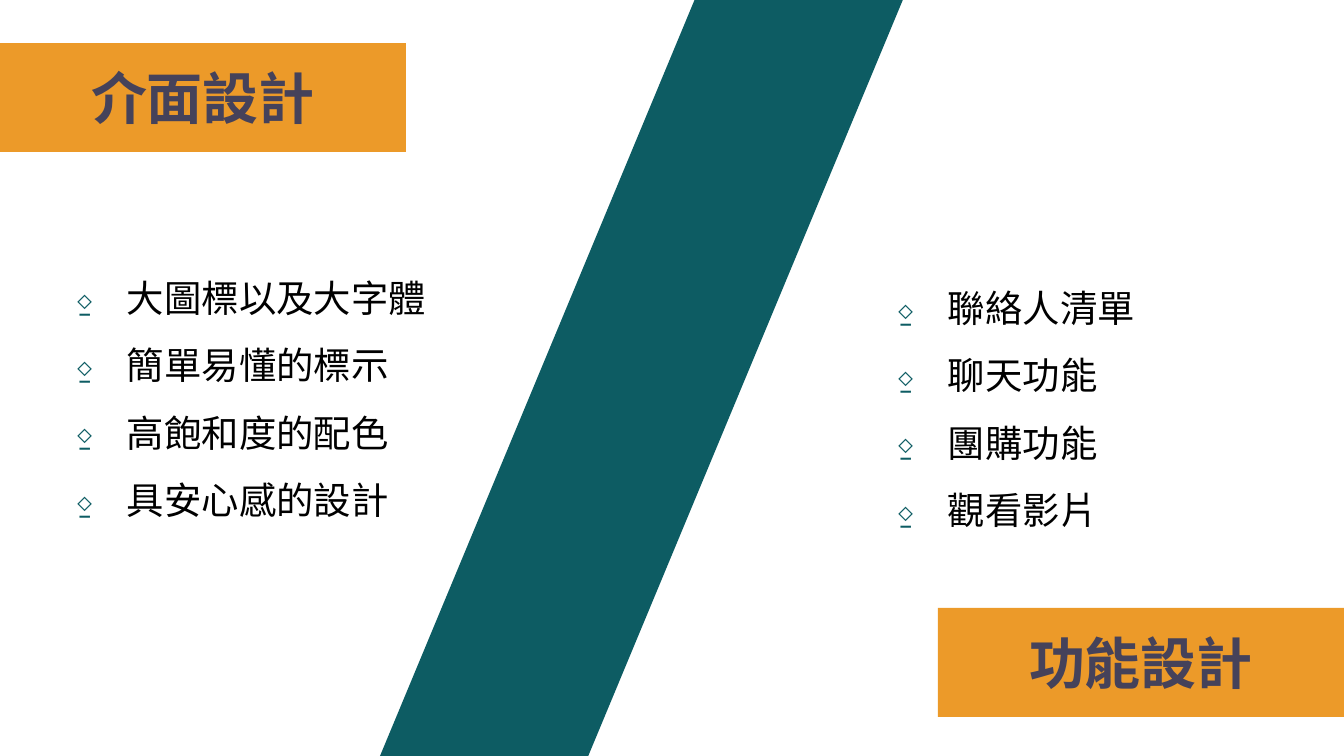
"""Build a slide with two design topics on either side of a slanted band."""
import lxml.etree
import pptx
import pptx.dml.color
import pptx.enum.lang
import pptx.enum.shapes
import pptx.enum.text
import pptx.oxml.ns
import pptx.util

SLIDE = (1344, 756)
BAND = {"box": (509, -73, 257, 921), "rotation": 18.6, "slant": 0.25}
TOPICS = [
    {
        "heading": "介面設計",
        "banner": (0, 43, 406, 109),
        "list": (47, 240, 441, 276),
        "items": ["大圖標以及大字體", "簡單易懂的標示", "高飽和度的配色", "具安心感的設計"],
    },
    {
        "heading": "功能設計",
        "banner": (938, 608, 406, 109),
        "list": (868, 250, 441, 276),
        "items": ["聯絡人清單", "聊天功能", "團購功能", "觀看影片"],
    },
]
THEME = {
    "band": "0D5C63",
    "banner": "EC9A29",
    "font": "Arial",
    "heading": {"size": 30, "bold": True, "color": "45425A"},
    "item": {"size": 20, "bold": False, "color": "000000"},
    "bullet": "⍚",
    "indent": (67, -52),
    "inset": 13,
}
Shape = pptx.enum.shapes.MSO_SHAPE
Anchor = pptx.enum.text.MSO_ANCHOR
Align = pptx.enum.text.PP_ALIGN


def emu(px):
    return round(px * 914400 / 134.4)


def assign(target, values):
    for name, value in values.items():
        setattr(target, name, value)


def add_tag(parent, tag, **attributes):
    return lxml.etree.SubElement(parent, pptx.oxml.ns.qn(tag), attributes)


def place(shape, box):
    assign(shape, dict(zip(("left", "top", "width", "height"), map(emu, box))))


def paint(shape, color):
    shape.fill.solid()
    shape.fill.fore_color.rgb = pptx.dml.color.RGBColor.from_string(color)
    shape.line.fill.background()


def add_block(slide, kind, box, color):
    shape = slide.shapes.add_shape(kind, *map(emu, box))
    shape.shadow.inherit = False
    paint(shape, color)
    return shape


def set_frame(frame, anchor):
    sides = ("margin_left", "margin_top", "margin_right", "margin_bottom")
    assign(frame, dict.fromkeys(sides, emu(THEME["inset"])))
    assign(frame, {
        "word_wrap": True,
        "auto_size": pptx.enum.text.MSO_AUTO_SIZE.NONE,
        "vertical_anchor": anchor,
    })


def write(paragraph, text, style, alignment, spacing):
    assign(paragraph, {"alignment": alignment, "line_spacing": spacing})
    run = paragraph.add_run()
    run.text = text
    assign(run.font, {
        "name": THEME["font"],
        "size": pptx.util.Pt(style["size"]),
        "bold": style["bold"],
        "language_id": pptx.enum.lang.MSO_LANGUAGE_ID.TRADITIONAL_CHINESE,
    })
    run.font.color.rgb = pptx.dml.color.RGBColor.from_string(style["color"])
    add_tag(run.font._element, "a:ea", typeface=THEME["font"])


def add_bullet(paragraph):
    properties = paragraph._p.get_or_add_pPr()
    for name, px in zip(("marL", "indent"), THEME["indent"]):
        properties.set(name, str(emu(px)))
    add_tag(add_tag(properties, "a:buClr"), "a:srgbClr", val=THEME["band"])
    add_tag(properties, "a:buFont", typeface=THEME["font"])
    add_tag(properties, "a:buChar", char=THEME["bullet"])


def fill_banner(shape, topic):
    place(shape, topic["banner"])
    paint(shape, THEME["banner"])
    set_frame(shape.text_frame, Anchor.MIDDLE)
    write(shape.text_frame.paragraphs[0], topic["heading"], THEME["heading"], Align.CENTER, 1.0)


def add_list(slide, topic):
    frame = slide.shapes.add_textbox(*map(emu, topic["list"])).text_frame
    set_frame(frame, Anchor.TOP)
    for index, item in enumerate(topic["items"]):
        paragraph = frame.add_paragraph() if index else frame.paragraphs[0]
        write(paragraph, item, THEME["item"], Align.LEFT, 1.5)
        add_bullet(paragraph)


def main():
    presentation = pptx.Presentation()
    assign(presentation, dict(zip(("slide_width", "slide_height"), map(emu, SLIDE))))
    slide = presentation.slides.add_slide(presentation.slide_layouts.get_by_name("Title Only"))
    band = add_block(slide, Shape.PARALLELOGRAM, BAND["box"], THEME["band"])
    band.rotation = BAND["rotation"]
    band.adjustments[0] = BAND["slant"]
    first, second = TOPICS
    fill_banner(slide.shapes.title, first)
    fill_banner(add_block(slide, Shape.RECTANGLE, second["banner"], THEME["banner"]), second)
    for topic in TOPICS:
        add_list(slide, topic)
    presentation.save("out.pptx")


if __name__ == "__main__":
    main()
